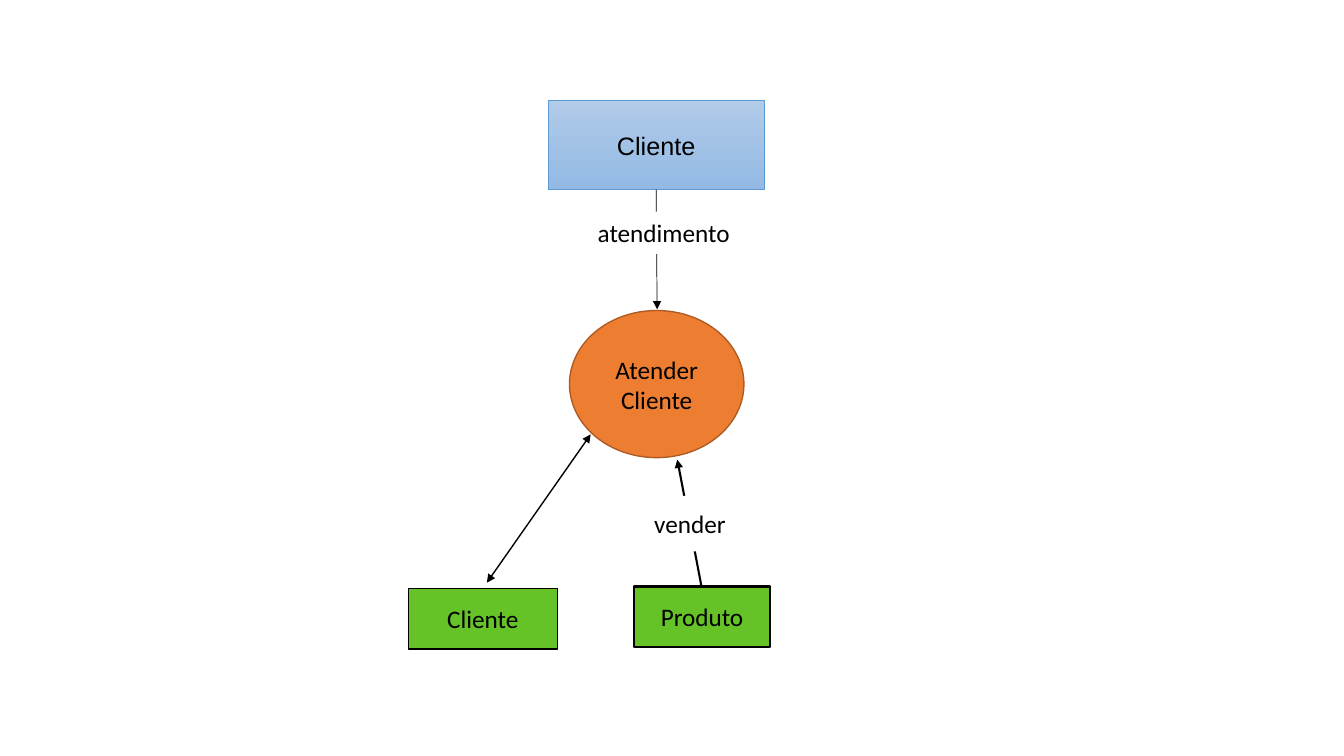
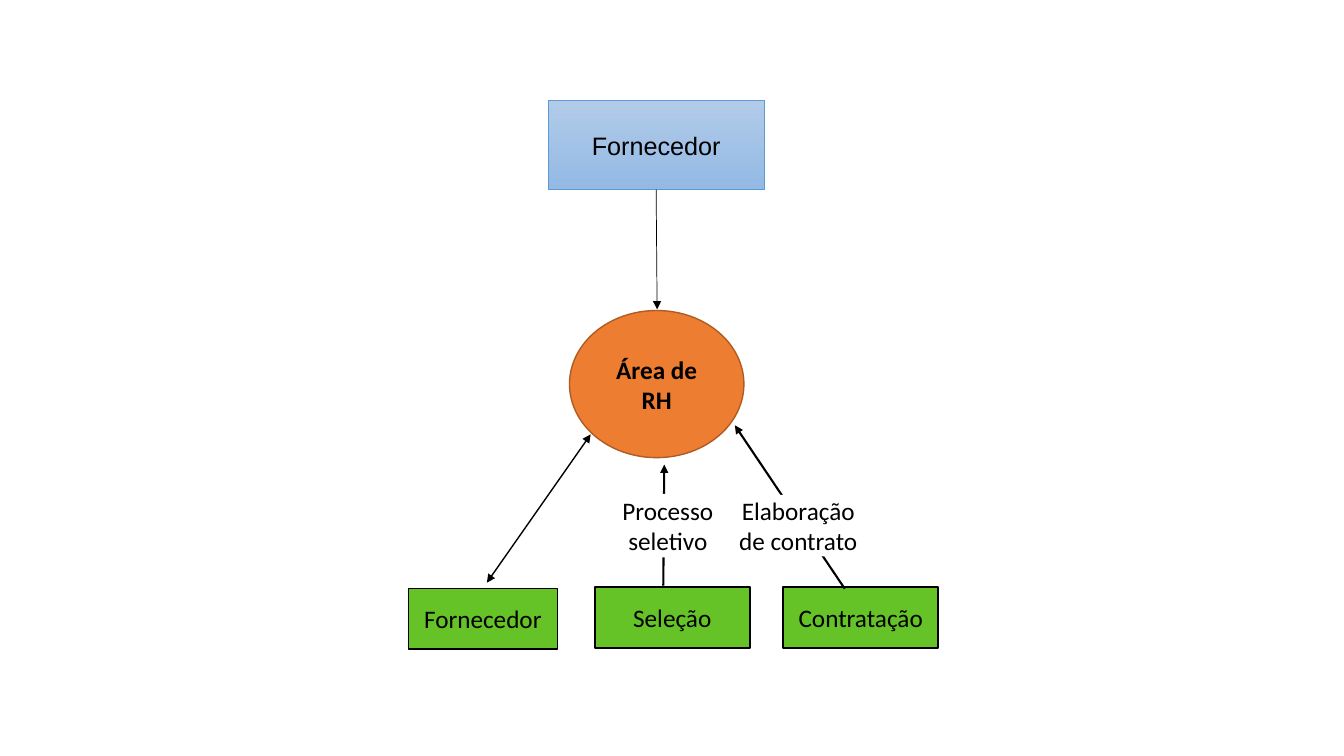
from lxml import etree
from pptx import Presentation
from pptx.dml.color import RGBColor
from pptx.enum import shapes, text
from pptx.oxml import ns
from pptx.util import Pt

BLACK = RGBColor(0x00, 0x00, 0x00)
WHITE = RGBColor(0xFF, 0xFF, 0xFF)
ORANGE = RGBColor(0xED, 0x7D, 0x31)
DARK_ORANGE = RGBColor(0xAF, 0x5C, 0x24)
GREEN = RGBColor(0x65, 0xC2, 0x27)
BLUE = RGBColor(0x5B, 0x9B, 0xD5)
BLUE_TOP = RGBColor(0xB1, 0xCB, 0xE9)
BLUE_BOTTOM = RGBColor(0x93, 0xB9, 0xE4)

RECT = shapes.MSO_SHAPE.RECTANGLE
ROUNDED = shapes.MSO_SHAPE.ROUNDED_RECTANGLE
OVAL = shapes.MSO_SHAPE.OVAL


def add_node(slide, kind, box, caption, fill, outline=None, width=1, font="Calibri", bold=False):
    """Add a captioned shape; without an outline colour it has no border."""
    node = slide.shapes.add_shape(kind, *(Pt(length) for length in box))
    node.shadow.inherit = False
    node.fill.solid()
    node.fill.fore_color.rgb = fill
    if outline is None:
        node.line.fill.background()
    else:
        node.line.color.rgb = outline
        node.line.width = Pt(width)
    frame = node.text_frame
    frame.word_wrap = True
    frame.vertical_anchor = text.MSO_ANCHOR.MIDDLE
    frame.text = caption
    paragraph = frame.paragraphs[0]
    paragraph.alignment = text.PP_ALIGN.CENTER
    style = paragraph.runs[0].font
    style.name, style.size, style.bold = font, Pt(18), bold
    style.color.rgb = BLACK
    return node


def add_arrow(slide, start, end, width, ends=("tailEnd",)):
    """Add a black arrow with triangles at the given line ends."""
    arrow = slide.shapes.add_connector(
        shapes.MSO_CONNECTOR.STRAIGHT, *(Pt(length) for length in start + end))
    arrow.line.color.rgb = BLACK
    arrow.line.width = Pt(width)
    outline = arrow.line._get_or_add_ln()
    for name in ends:
        etree.SubElement(outline, ns.qn("a:" + name), type="triangle")
    etree.SubElement(arrow._element.spPr, ns.qn("a:effectLst"))


def add_entity(slide, caption):
    """Add the external entity at the top, shaded from light to darker blue."""
    entity = add_node(slide, RECT, (391.7, 72, 154.1, 63.4), caption,
                      BLUE_TOP, BLUE, 0.5, font="Arial")
    entity.fill.gradient()
    entity.fill.gradient_angle = 270
    for stop, shade in zip(entity.fill.gradient_stops, (BLUE_TOP, BLUE_BOTTOM)):
        stop.color.rgb = shade


def add_flow(slide, start, end, label_kind, label_box, label):
    """Add an arrow towards the process, interrupted by its label."""
    add_arrow(slide, start, end, 1.5)
    add_node(slide, label_kind, label_box, label, WHITE)


def add_store(slide, box, caption, width=1.5):
    """Add a green data store."""
    add_node(slide, RECT, box, caption, GREEN, BLACK, width)


def add_diagram(deck, entity, process, bold=False):
    """Add a slide with an entity, a process and the entity's data store."""
    slide = deck.slides.add_slide(deck.slide_layouts[6])
    add_entity(slide, entity)
    add_node(slide, OVAL, (406.8, 221.8, 124.6, 105.1), process,
             ORANGE, DARK_ORANGE, bold=bold)
    add_arrow(slide, (468.7, 135.4), (469.4, 221), 0.5)
    add_arrow(slide, (421.9, 310.3), (347.8, 416.2), 1, ("headEnd", "tailEnd"))
    add_store(slide, (291.6, 420.5, 106.6, 43.2), entity, 1)
    return slide


def main():
    """Build both data flow diagrams."""
    deck = Presentation()
    deck.slide_width, deck.slide_height = Pt(960), Pt(540)

    service = add_diagram(deck, "Cliente", "Atender Cliente")
    add_node(service, RECT, (411.8, 151.2, 124.6, 30.2), "atendimento", WHITE)
    add_store(service, (452.9, 419, 97.2, 43.2), "Produto")
    add_flow(service, (501.1, 419), (483.8, 328.3),
             RECT, (456.5, 354.2, 72.7, 39.6), "vender")

    hiring = add_diagram(deck, "Fornecedor", "Área de RH", bold=True)
    for left, caption in ((424.8, "Seleção"), (559.4, "Contratação")):
        add_store(hiring, (left, 419, 110.9, 43.9), caption)
    add_flow(hiring, (473.8, 418.3), (474.5, 331.9),
             ROUNDED, (423.4, 352.8, 107.3, 45.4), "Processo seletivo")
    add_flow(hiring, (603.4, 420.5), (524.9, 303.8),
             ROUNDED, (511.9, 353.5, 116.6, 43.9), "Elaboração de contrato")

    deck.save("out.pptx")


main()
